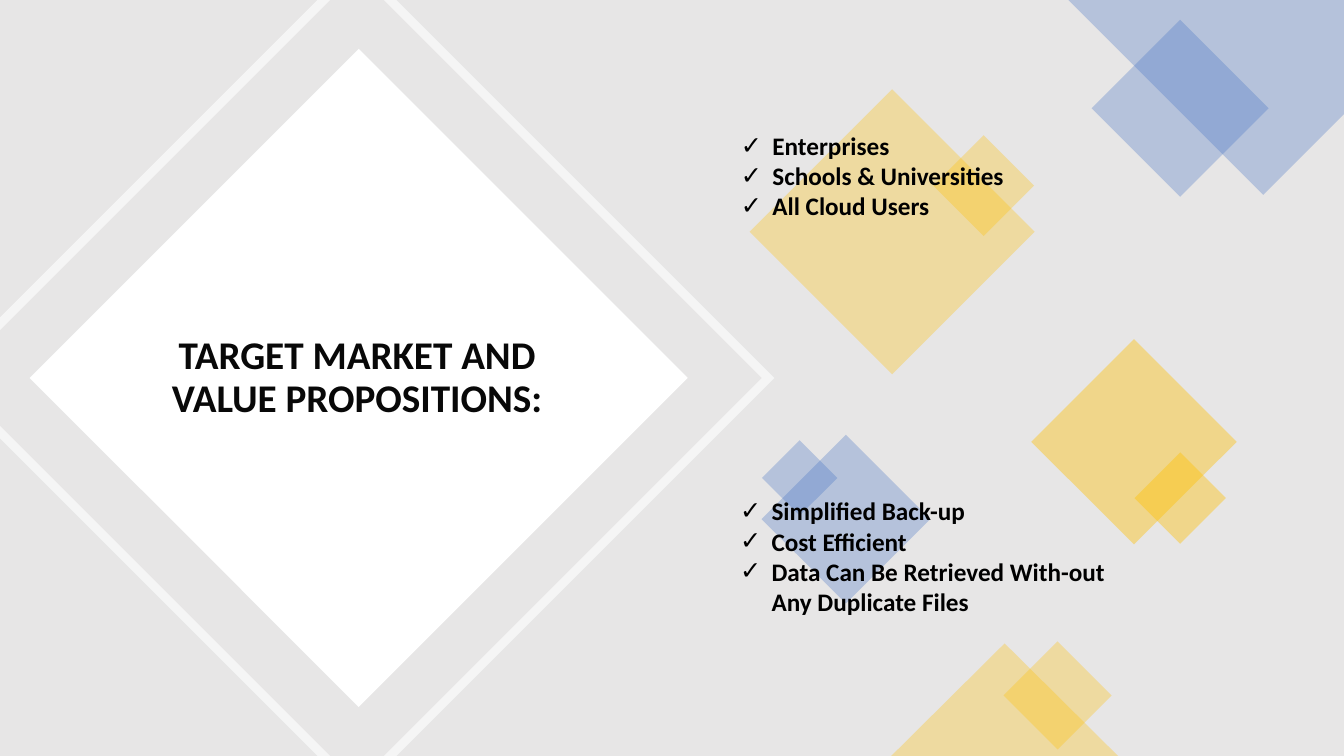
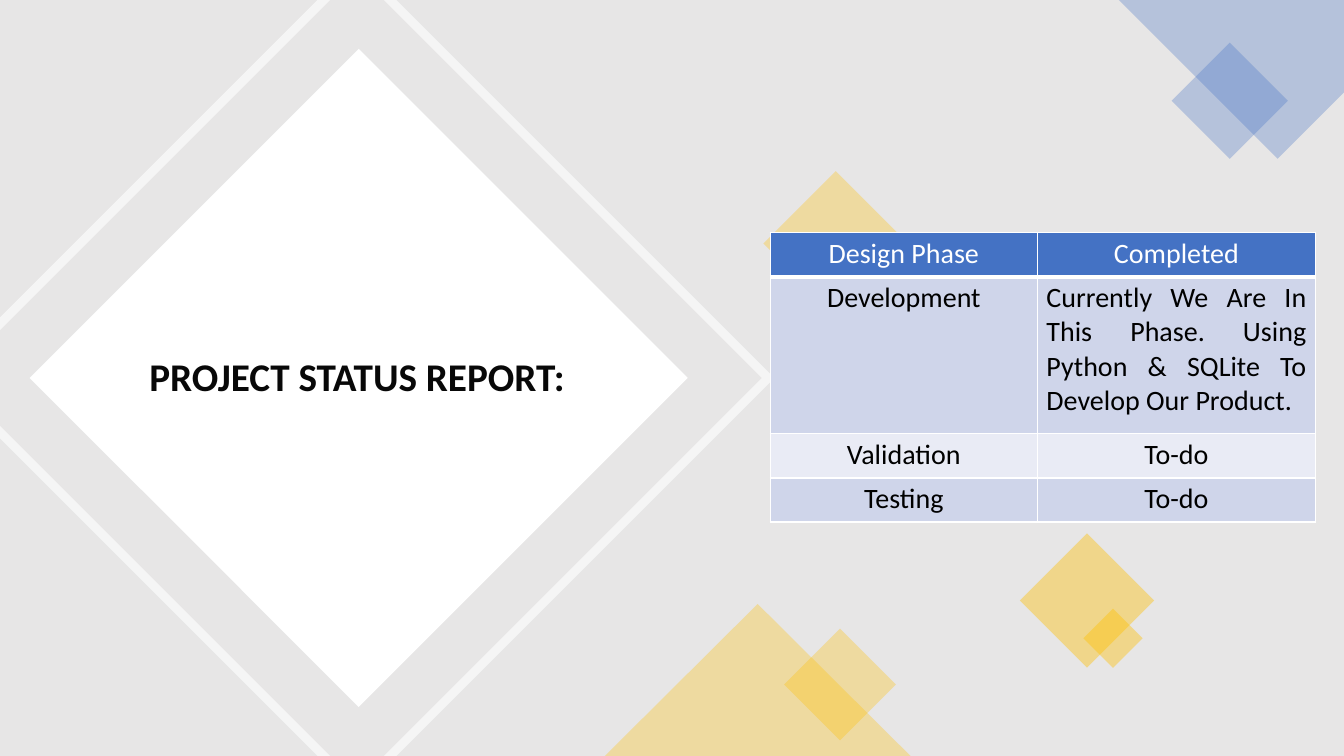
"""Build two project slides: target market and status report."""
from dataclasses import dataclass

import lxml.etree
import pptx
import pptx.dml.color
import pptx.enum.shapes
import pptx.enum.text
import pptx.oxml.ns
import pptx.shapes.autoshape
import pptx.shapes.base
import pptx.slide
import pptx.table
import pptx.text.text
import pptx.util

COLUMNS, ROWS = 160, 90
ALIGN = pptx.enum.text.PP_ALIGN
PRESET = pptx.enum.shapes.MSO_SHAPE
qn = pptx.oxml.ns.qn


@dataclass(frozen=True)
class Theme:
    font: str = "Calibri"
    backdrop: str = "E7E6E6"
    white: str = "FFFFFF"
    black: str = "000000"
    title_ink: str = "080808"
    gold: str = "FFC000"
    blue: str = "4472C4"
    dark_band: str = "CFD5EA"
    light_band: str = "E9EBF5"
    title_size: int = 28
    list_size: int = 18
    table_size: int = 20
    rule: int = 1
    header_rule: int = 3


THEME = Theme()


@dataclass(frozen=True)
class Box:
    """A rectangle in grid columns and rows."""
    col: float
    row: float
    width: float
    height: float

    def emu(self) -> tuple[pptx.util.Emu, ...]:
        """Return left, top, width and height as lengths."""
        return tuple(cells(n) for n in (self.col, self.row, self.width, self.height))


@dataclass(frozen=True)
class Diamond:
    """A square on its corner, given by its centre and side."""
    col: float
    row: float
    side: float
    color: str
    opacity: int = 30


@dataclass(frozen=True)
class Corner:
    """A diamond cut off by the top right corner of the slide."""
    left: float
    depth: float


@dataclass(frozen=True)
class Checklist:
    box: Box
    items: tuple[str, ...]


TITLE_BOX = Box(14.6, 32.2, 55.8, 25.7)
TITLE_DIAMOND = Diamond(42.7, 45, 55.4, THEME.white, 100)
FRAME_TIP, FRAME_LEG, FRAME_WIDTH = 92.2, 37.8, 1.5

MARKET_DIAMONDS = (
    Diamond(106.2, 27.6, 24, THEME.gold),
    Diamond(117.1, 22.1, 8.5, THEME.gold),
    Diamond(140.5, 12.9, 14.9, THEME.blue),
    Diamond(100.7, 61.8, 14.2, THEME.blue),
    Diamond(95.2, 56.9, 6.35, THEME.blue),
    Diamond(135, 52.6, 17.3, THEME.gold, 40),
    Diamond(140.5, 59.3, 7.7, THEME.gold, 40),
    Diamond(125.9, 82.8, 9.1, THEME.gold),
)
STATUS_DIAMONDS = (
    Diamond(146.4, 12, 9.8, THEME.blue),
    Diamond(99.5, 29, 12.2, THEME.gold),
    Diamond(129.4, 71.5, 11.3, THEME.gold, 40),
    Diamond(132.5, 76, 5, THEME.gold, 40),
    Diamond(100, 81.5, 9.4, THEME.gold),
)
CHECKLISTS = (
    Checklist(Box(87, 14.9, 59, 15.7),
              ("Enterprises", "Schools & Universities", "All Cloud Users")),
    Checklist(Box(86.9, 58.4, 51, 19.4),
              ("Simplified Back-up", "Cost Efficient",
               "Data Can Be Retrieved With-out Any Duplicate Files")),
)
PHASES = (
    ("Design Phase", "Completed"),
    ("Development", "Currently We Are In This Phase. Using Python & SQLite "
                    "To Develop Our Product."),
    ("Validation", "To-do"),
    ("Testing", "To-do"),
)
PHASE_WIDTHS = (31.8, 33.1)
PHASE_HEIGHTS = (5.25, 18.7, 5.25, 5.25)


def cells(count: float) -> pptx.util.Emu:
    """Convert grid cells of a twelfth of an inch to a length."""
    return pptx.util.Emu(round(count * pptx.util.Inches(1) / 12))


def rgb(color: str) -> pptx.dml.color.RGBColor:
    """Return the colour for a hexadecimal string."""
    return pptx.dml.color.RGBColor.from_string(color)


def style_font(font: pptx.text.text.Font, size: int, color: str, bold: bool) -> None:
    """Apply the theme font with a size, colour and weight."""
    font.name, font.size, font.bold = THEME.font, pptx.util.Pt(size), bold
    font.color.rgb = rgb(color)


def paint(shape: pptx.shapes.autoshape.Shape, color: str, opacity: int) -> None:
    """Give a shape a flat, translucent fill without line or shadow."""
    shape.shadow.inherit = False
    shape.line.fill.background()
    shape.fill.solid()
    shape.fill.fore_color.rgb = rgb(color)
    if opacity < 100:
        tint = shape.element.spPr.find(qn("a:solidFill")).find(qn("a:srgbClr"))
        lxml.etree.SubElement(tint, qn("a:alpha"), val=str(opacity * 1000))


def draw_diamond(slide: pptx.slide.Slide, diamond: Diamond) -> None:
    """Draw a square turned by 45 degrees about its centre."""
    half = diamond.side / 2
    box = Box(diamond.col - half, diamond.row - half, diamond.side, diamond.side)
    square = slide.shapes.add_shape(PRESET.RECTANGLE, *box.emu())
    square.rotation = 45
    paint(square, diamond.color, diamond.opacity)


def draw_outline(slide: pptx.slide.Slide, contours: list[list[tuple[float, float]]],
                 color: str, opacity: int) -> None:
    """Draw closed contours given in grid cells as one freeform."""
    paths = [[(cells(x), cells(y)) for x, y in contour] for contour in contours]
    builder = slide.shapes.build_freeform(*paths[0][0], scale=1.0)
    for index, (start, *rest) in enumerate(paths):
        if index:
            builder.move_to(*start)
        builder.add_line_segments(rest, close=True)
    paint(builder.convert_to_shape(), color, opacity)


def draw_frame(slide: pptx.slide.Slide) -> None:
    """Draw the cropped diamond outline around the title."""
    middle = ROWS / 2
    inner_tip, inner_leg = FRAME_TIP - FRAME_WIDTH, FRAME_LEG + FRAME_WIDTH
    outer_top, inner_top = FRAME_TIP - middle, inner_tip - middle
    right = [(inner_top, 0), (outer_top, 0), (FRAME_TIP, middle),
             (outer_top, ROWS), (inner_top, ROWS), (inner_tip, middle)]
    upper = [(FRAME_LEG, 0), (inner_leg, 0), (0, inner_leg), (0, FRAME_LEG)]
    lower = [(x, ROWS - y) for x, y in upper]
    draw_outline(slide, [right, upper, lower], THEME.white, 60)


def draw_corner(slide: pptx.slide.Slide, corner: Corner) -> None:
    """Draw the blue diamond cropped by the slide corner."""
    tip = corner.left + corner.depth
    edge = corner.depth - (COLUMNS - tip)
    outline = [(corner.left, 0), (COLUMNS, 0), (COLUMNS, edge), (tip, corner.depth)]
    draw_outline(slide, [outline], THEME.blue, 30)


def place_in_front(shape: pptx.shapes.base.BaseShape, box: Box) -> None:
    """Move a placeholder to a box above everything drawn so far."""
    shape.left, shape.top, shape.width, shape.height = box.emu()
    shape.element.getparent().append(shape.element)


def write_title(slide: pptx.slide.Slide, text: str) -> None:
    """Write the slide title inside the white diamond."""
    title = slide.shapes.title
    place_in_front(title, TITLE_BOX)
    frame = title.text_frame
    frame.text = text
    frame.word_wrap = True
    frame.auto_size = pptx.enum.text.MSO_AUTO_SIZE.NONE
    frame.vertical_anchor = pptx.enum.text.MSO_ANCHOR.MIDDLE
    paragraph = frame.paragraphs[0]
    paragraph.alignment = ALIGN.CENTER
    paragraph.line_spacing = 0.9
    paragraph.space_after = pptx.util.Pt(6)
    style_font(paragraph.font, THEME.title_size, THEME.title_ink, True)


def write_checklist(body: pptx.shapes.base.BaseShape, checklist: Checklist) -> None:
    """Fill a body placeholder with check-marked items."""
    place_in_front(body, checklist.box)
    frame = body.text_frame
    frame.text = "\n".join(checklist.items)
    frame.word_wrap = True
    frame.auto_size = pptx.enum.text.MSO_AUTO_SIZE.NONE
    indent = cells(3.75)
    for paragraph in frame.paragraphs:
        properties = paragraph._p.get_or_add_pPr()
        properties.set("marL", str(indent))
        properties.set("indent", str(-indent))
        lxml.etree.SubElement(properties, qn("a:buChar"), char="✓")
        paragraph.space_before = pptx.util.Pt(0)
        style_font(paragraph.font, THEME.list_size, THEME.black, True)


def rule_cell(cell: pptx.table._Cell, top: int, bottom: int) -> None:
    """Add white borders to a table cell."""
    properties = cell._tc.get_or_add_tcPr()
    widths = {"lnL": THEME.rule, "lnR": THEME.rule, "lnT": top, "lnB": bottom}
    for side, width in widths.items():
        line = lxml.etree.SubElement(properties, qn(f"a:{side}"),
                                     w=str(pptx.util.Pt(width)))
        solid = lxml.etree.SubElement(line, qn("a:solidFill"))
        lxml.etree.SubElement(solid, qn("a:srgbClr"), val=THEME.white)


def draw_phases(slide: pptx.slide.Slide) -> None:
    """Draw the table of project phases."""
    box = Box(91.7, 27.7, sum(PHASE_WIDTHS), sum(PHASE_HEIGHTS))
    table = slide.shapes.add_table(len(PHASES), len(PHASE_WIDTHS), *box.emu()).table
    table.first_row = table.horz_banding = False
    for column, width in zip(table.columns, PHASE_WIDTHS):
        column.width = cells(width)
    fills = (THEME.blue, THEME.dark_band, THEME.light_band, THEME.dark_band)
    for r, (phase, height, fill) in enumerate(zip(PHASES, PHASE_HEIGHTS, fills)):
        table.rows[r].height = cells(height)
        for c, text in enumerate(phase):
            cell = table.cell(r, c)
            rule_cell(cell, THEME.header_rule if r == 1 else THEME.rule,
                      THEME.header_rule if r == 0 else THEME.rule)
            cell.fill.solid()
            cell.fill.fore_color.rgb = rgb(fill)
            cell.margin_left = cell.margin_right = pptx.util.Inches(0.09)
            cell.margin_top = cell.margin_bottom = pptx.util.Inches(0.04)
            cell.text = text
            paragraph = cell.text_frame.paragraphs[0]
            paragraph.alignment = ALIGN.JUSTIFY if (r, c) == (1, 1) else ALIGN.CENTER
            style_font(paragraph.font, THEME.table_size,
                       THEME.black if r else THEME.white, False)


def add_slide(deck: pptx.presentation.Presentation, layout: str, title: str,
              corner: Corner, diamonds: tuple[Diamond, ...],
              peak: Box) -> pptx.slide.Slide:
    """Add a slide with the shared frame, title and diamond decoration."""
    slide = deck.slides.add_slide(deck.slide_layouts.get_by_name(layout))
    draw_diamond(slide, TITLE_DIAMOND)
    draw_frame(slide)
    draw_corner(slide, corner)
    for diamond in diamonds:
        draw_diamond(slide, diamond)
    triangle = slide.shapes.add_shape(PRESET.ISOSCELES_TRIANGLE, *peak.emu())
    paint(triangle, THEME.gold, 30)
    write_title(slide, title)
    return slide


def main() -> None:
    """Build and save the presentation."""
    deck = pptx.Presentation()
    deck.slide_width, deck.slide_height = cells(COLUMNS), cells(ROWS)
    backdrop = deck.slide_master.background.fill
    backdrop.solid()
    backdrop.fore_color.rgb = rgb(THEME.backdrop)

    market = add_slide(deck, "Two Content", "TARGET MARKET AND VALUE PROPOSITIONS:",
                       Corner(127.2, 23.2), MARKET_DIAMONDS,
                       Box(106.1, 76.6, 27, 13.4))
    bodies = [p for p in market.placeholders if p.placeholder_format.idx]
    for body, checklist in zip(bodies, CHECKLISTS):
        write_checklist(body, checklist)

    status = add_slide(deck, "Title Only", "PROJECT STATUS REPORT:",
                       Corner(133.2, 18.9), STATUS_DIAMONDS,
                       Box(72, 71.9, 36.4, 18.1))
    draw_phases(status)
    deck.save("out.pptx")


if __name__ == "__main__":
    main()
